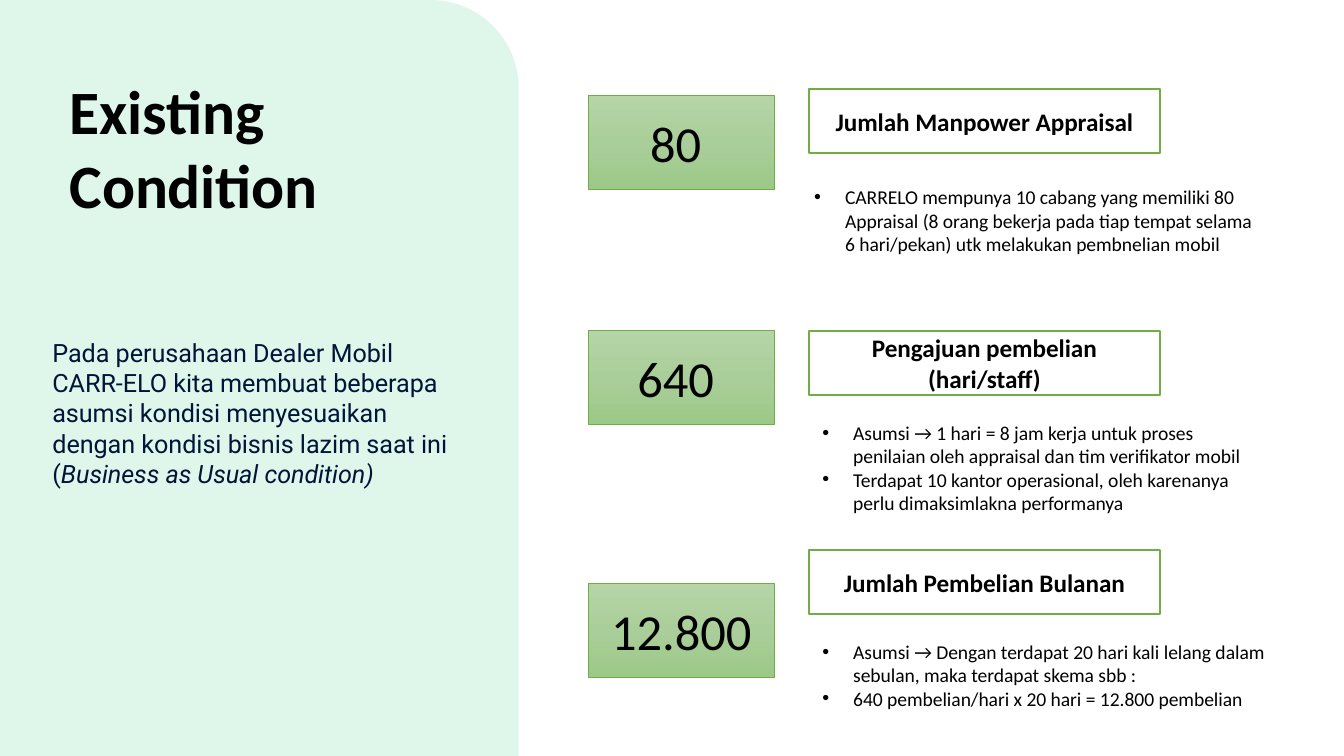
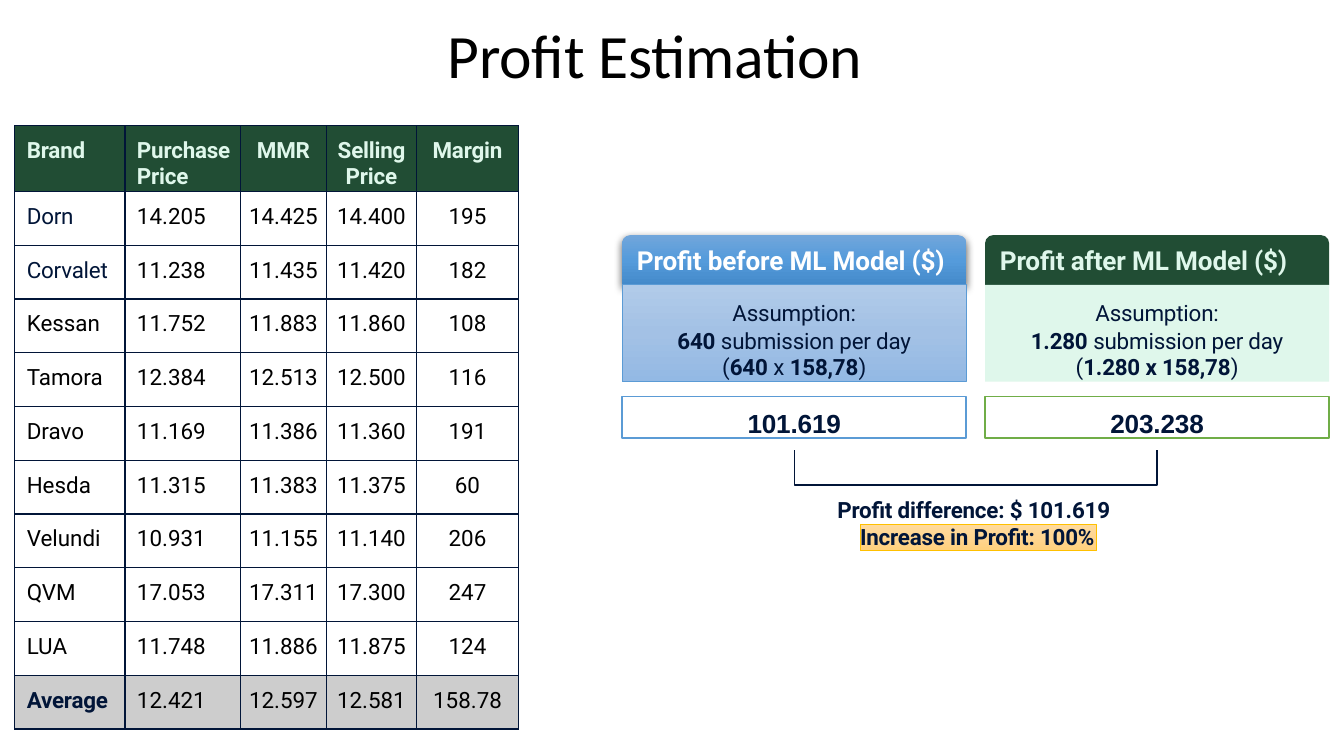
from copy import deepcopy
from dataclasses import dataclass
from typing import NamedTuple, Optional, Sequence, Union

from lxml.etree import SubElement
from pptx import Presentation
from pptx.dml.color import RGBColor
from pptx.enum.shapes import MSO_SHAPE
from pptx.enum.text import MSO_ANCHOR, MSO_AUTO_SIZE, PP_ALIGN
from pptx.oxml.ns import qn
from pptx.util import Emu, Inches, Pt

# Grid: 100 columns across the slide, square cells
WIDTH, HEIGHT = Inches(10), Inches(5.625)
CELL = WIDTH // 100


@dataclass(frozen=True)
class Theme:
    mint: str = "DFF7EB"
    forest: str = "214D34"
    navy: str = "011538"
    black: str = "000000"
    white: str = "FFFFFF"
    grey: str = "CDCDCD"
    green_line: str = "70AD47"
    blue_line: str = "5B9BD5"
    gold_line: str = "FFC000"
    green_fade: tuple = ("B5D5A7", "AACE9A", "9CC987")
    blue_fade: tuple = ("71A6DB", "559BDB", "448ACA")
    sky_fade: tuple = ("B1CBE9", "A3C1E5", "93B9E4")
    gold_fade: tuple = ("FFDB9E", "FFD590", "FFD07C")
    head_font: str = "Calibri"
    body_font: str = "Roboto"
    number_font: str = "Arial"
    title: float = 33
    figure: float = 27
    card: float = 14
    label: float = 13.5
    body: float = 12
    detail: float = 10.5


THEME = Theme()
Fill = Union[str, tuple, None]


class Area(NamedTuple):
    column: float
    row: float
    columns: float
    rows: float


class Span(NamedTuple):
    text: str
    bold: bool = False
    italic: bool = False


class Metric(NamedTuple):
    value: str
    value_row: float
    label: str
    label_row: float
    details: Sequence[str]
    detail_area: Area


class Scenario(NamedTuple):
    column: float
    heading: str
    heading_color: str
    heading_width: float
    heading_fill: Fill
    shaded: bool
    formula: Sequence[Span]
    body_fill: Fill
    body_line: Optional[str]
    profit: str
    profit_line: str


def grid(*units: float) -> list:
    return [Emu(round(unit * CELL)) for unit in units]


# Text
def write(frame, *paragraphs, size: float = THEME.body, font: str = THEME.body_font,
          color: str = THEME.navy, bold: bool = False, align=PP_ALIGN.LEFT,
          anchor=MSO_ANCHOR.TOP, insets: Sequence[float] = (0.1, 0.1, 0, 0),
          bullet: bool = False, tracking: float = 0,
          leading: Optional[float] = None, gap: float = 0) -> None:
    """Insets are left, top, right and bottom in grid cells."""
    frame.word_wrap = True
    frame.auto_size = MSO_AUTO_SIZE.NONE
    frame.vertical_anchor = anchor
    (frame.margin_left, frame.margin_top,
     frame.margin_right, frame.margin_bottom) = grid(*insets)
    for index, content in enumerate(paragraphs):
        para = frame.add_paragraph() if index else frame.paragraphs[0]
        para.alignment = align
        if leading:
            para.line_spacing = Pt(leading)
        para.space_before = Pt(gap if index else 0)
        if bullet:
            properties = para._p.get_or_add_pPr()
            hang = grid(2.3)[0]
            properties.set("marL", str(hang))
            properties.set("indent", str(-hang))
            SubElement(properties, qn("a:buFont")).set("typeface", "Arial")
            SubElement(properties, qn("a:buChar")).set("char", "•")
        for piece in [Span(content)] if isinstance(content, str) else content:
            for number, line in enumerate(piece.text.split("\n")):
                if number:
                    para.add_line_break()
                span = para.add_run()
                span.text = line
                span.font.name, span.font.size = font, Pt(size)
                span.font.bold = bold or piece.bold
                span.font.italic = piece.italic
                span.font.color.rgb = RGBColor.from_string(color)
                if tracking:
                    span._r.get_or_add_rPr().set("spc", str(round(tracking * 100)))


def add_text(slide, area: Area, *paragraphs, **style) -> None:
    write(slide.shapes.add_textbox(*grid(*area)).text_frame, *paragraphs, **style)


def place_title(slide, area: Area, text: str, **style) -> None:
    title = slide.shapes.title
    title.left, title.top, title.width, title.height = grid(*area)
    write(title.text_frame, text, size=THEME.title, font=THEME.head_font,
          color=THEME.black, anchor=MSO_ANCHOR.MIDDLE, tracking=-0.1, **style)


# Shapes
def paint(shape, fill: Fill, line: Optional[str], width: float) -> None:
    shape.shadow.inherit = False
    if fill is None:
        shape.fill.background()
    elif isinstance(fill, str):
        shape.fill.solid()
        shape.fill.fore_color.rgb = RGBColor.from_string(fill)
    else:
        shape.fill.gradient()
        shape.fill.gradient_angle = 270
        stops = shape._element.spPr.find(".//" + qn("a:gsLst"))
        stops.insert(1, deepcopy(stops[0]))
        for index, (stop, color) in enumerate(zip(shape.fill.gradient_stops, fill)):
            stop.position = index / 2
            stop.color.rgb = RGBColor.from_string(color)
    if line:
        shape.line.color.rgb = RGBColor.from_string(line)
        shape.line.width = Pt(width)
    else:
        shape.line.fill.background()


def add_box(slide, area: Area, fill: Fill, line: Optional[str] = None,
            width: float = 0.5, kind=MSO_SHAPE.RECTANGLE, corner: float = 0):
    box = slide.shapes.add_shape(kind, *grid(*area))
    paint(box, fill, line, width)
    if corner:
        box.adjustments[0] = corner
    return box


def add_shadow(shape) -> None:
    effects = shape._element.spPr.find(qn("a:effectLst"))
    shadow = SubElement(effects, qn("a:outerShdw"), blurRad=str(Pt(4.5)),
                        dist=str(Pt(1.5)), dir="5400000", rotWithShape="0")
    color = SubElement(shadow, qn("a:srgbClr"), val=THEME.black)
    SubElement(color, qn("a:alpha"), val="63000")


# Table
def border_cell(cell, color: str, width: float) -> None:
    properties = cell._tc.get_or_add_tcPr()
    for side in ("a:lnL", "a:lnR", "a:lnT", "a:lnB"):
        edge = SubElement(properties, qn(side), w=str(Pt(width)))
        solid = SubElement(edge, qn("a:solidFill"))
        SubElement(solid, qn("a:srgbClr"), val=color)


def add_price_table(slide, rows: Sequence[Sequence[str]]) -> None:
    widths, heights = (8.2, 8.6, 6.4, 6.7, 7.6), [4.9] + [4] * (len(rows) - 1)
    area = Area(1.1, 9.35, sum(widths), sum(heights))
    table = slide.shapes.add_table(len(rows), len(widths), *grid(*area)).table
    table.first_row = table.horz_banding = False
    for column, width in zip(table.columns, grid(*widths)):
        column.width = width
    last = len(rows) - 1
    for r, values in enumerate(rows):
        table.rows[r].height = grid(heights[r])[0]
        for c, value in enumerate(values):
            cell = table.cell(r, c)
            border_cell(cell, THEME.navy, 0.75)
            if r in (0, last):
                cell.fill.solid()
                cell.fill.fore_color.rgb = RGBColor.from_string(
                    THEME.grey if r else THEME.forest)
            else:
                cell.fill.background()
            navy = c == 0 and r in (1, 2, last)
            color = THEME.mint if r == 0 else THEME.navy if navy else THEME.black
            write(cell.text_frame, value, color=color,
                  bold=r == 0 or (r == last and c == 0),
                  align=PP_ALIGN.LEFT if c < 2 else PP_ALIGN.CENTER,
                  tracking=-0.1 if r == 0 or navy else 0)
            cell.margin_left, cell.margin_top = grid(0.9 if c < 2 else 0, 0.9)
            cell.margin_right = cell.margin_bottom = 0


# Slide 1
METRICS = (
    Metric("80 ", 7.1, "Jumlah Manpower Appraisal", 6.6,
           ("CARRELO mempunya 10 cabang yang memiliki 80 Appraisal (8 orang bekerja "
            "pada tiap tempat selama 6 hari/pekan) utk melakukan pembnelian mobil",),
           Area(59.6, 13.3, 35.3, 6.3)),
    Metric("640 ", 24.6, "Pengajuan pembelian (hari/staff)", 24.6,
           ("Asumsi → 1 hari = 8 jam kerja untuk proses penilaian oleh appraisal "
            "dan tim verifikator mobil",
            "Terdapat 10 kantor operasional, oleh karenanya perlu dimaksimlakna "
            "performanya"), Area(60.2, 30.8, 35.3, 8.1)),
    Metric("12.800", 43.4, "Jumlah Pembelian Bulanan", 40.9,
           ("Asumsi → Dengan terdapat 20 hari kali lelang dalam sebulan, maka "
            "terdapat skema sbb :",
            "640 pembelian/hari x 20 hari = 12.800 pembelian"),
           Area(60.2, 47.1, 35.3, 6.3)),
)


def build_condition(slide) -> None:
    panel = add_box(slide, Area(0, 0, 38.6, HEIGHT / CELL), THEME.mint,
                    kind=MSO_SHAPE.ROUND_1_RECTANGLE, corner=0.17)
    slide.shapes._spTree.insert(2, panel._element)  # behind the title
    place_title(slide, Area(5.1, 5.3, 22, 11.2), "Existing Condition", bold=True)
    add_text(slide, Area(3.8, 25, 30.1, 16),
             (Span("Pada perusahaan Dealer Mobil CARR-ELO kita membuat beberapa asumsi "
                   "kondisi menyesuaikan dengan kondisi bisnis lazim saat ini ("),
              Span("Business as Usual condition)", italic=True)), size=THEME.label)
    shared = dict(font=THEME.head_font, color=THEME.black, insets=(1, 0.5, 1, 0.5))
    centred = dict(shared, align=PP_ALIGN.CENTER, anchor=MSO_ANCHOR.MIDDLE)
    for metric in METRICS:
        value = add_box(slide, Area(43.8, metric.value_row, 13.8, 7),
                        THEME.green_fade, THEME.green_line)
        write(value.text_frame, metric.value, size=THEME.figure, **centred)
        label = add_box(slide, Area(60.2, metric.label_row, 26.1, 4.8),
                        THEME.white, THEME.green_line, 1)
        write(label.text_frame, metric.label, size=THEME.label, bold=True, **centred)
        add_text(slide, metric.detail_area, *metric.details, size=THEME.detail,
                 bullet=True, **shared)


# Slide 2
PRICES = [line.split("|") for line in (
    "Brand|Purchase Price|MMR|Selling Price|Margin",
    "Dorn|14.205|14.425|14.400|195",
    "Corvalet|11.238|11.435|11.420|182",
    "Kessan|11.752|11.883|11.860|108",
    "Tamora|12.384|12.513|12.500|116",
    "Dravo|11.169|11.386|11.360|191",
    "Hesda|11.315|11.383|11.375|60",
    "Velundi|10.931|11.155|11.140|206",
    "QVM|17.053|17.311|17.300|247",
    "LUA|11.748|11.886|11.875|124",
    "Average|12.421|12.597|12.581|158.78",
)]
SCENARIOS = (
    Scenario(46.3, "Proﬁt before ML Model ($)", THEME.white, 23.4, THEME.blue_fade, True,
             (Span("640", True), Span(" submission per day\n("), Span("640 ", True),
              Span("x "), Span("158,78", True), Span(")")),
             THEME.sky_fade, THEME.blue_line, "101.619", THEME.blue_line),
    Scenario(73.3, "Proﬁt after ML Model ($)", THEME.mint, 21.9, THEME.forest, False,
             (Span("1.280", True), Span(" submission per day\n("),
              Span("1.280 x 158,78", True), Span(")")),
             THEME.mint, None, "203.238", THEME.green_line),
)
CARD_WIDTH = 25.6


def add_scenario(slide, card: Scenario) -> None:
    header = add_box(slide, Area(card.column, 17.5, CARD_WIDTH, 3.7), card.heading_fill,
                     kind=MSO_SHAPE.ROUND_2_SAME_RECTANGLE, corner=0.16)
    if card.shaded:
        add_shadow(header)
    add_text(slide, Area(card.column + 1, 18.1, card.heading_width, 2.5), card.heading,
             size=THEME.card, color=card.heading_color, bold=True, tracking=-0.1)
    body = add_box(slide, Area(card.column, 21.2, CARD_WIDTH, 7.2),
                   card.body_fill, card.body_line)
    write(body.text_frame, "Assumption:", card.formula, align=PP_ALIGN.CENTER,
          insets=(0, 1.1, 0, 0), leading=14.2, gap=0.6, tracking=-0.1)
    profit = add_box(slide, Area(card.column, 29.5, CARD_WIDTH, 3.1),
                     THEME.white, card.profit_line, 1)
    write(profit.text_frame, card.profit, size=THEME.card, font=THEME.number_font,
          bold=True, align=PP_ALIGN.CENTER, insets=(0, 0.8, 0, 0), tracking=-0.1)


def build_profit(slide) -> None:
    place_title(slide, Area(23.1, 1.1, 51.2, 5.7), "Proﬁt Estimation",
                align=PP_ALIGN.CENTER)
    add_price_table(slide, PRICES)
    for card in SCENARIOS:
        add_scenario(slide, card)

    # Bracket joining the centres of both cards
    left, right = grid(*(card.column + CARD_WIDTH / 2 for card in SCENARIOS))
    top, bottom = grid(33.5, 36.1)
    outline = slide.shapes.build_freeform(left, top)
    outline.add_line_segments([(left, bottom), (right, bottom), (right, top)], close=False)
    paint(outline.convert_to_shape(), None, THEME.navy, 0.75)

    add_text(slide, Area(62.2, 36.8, 20.9, 2.2), "Proﬁt difference: $ 101.619",
             bold=True, tracking=-0.1)
    increase = add_box(slide, Area(64, 39, 17.6, 2), THEME.gold_fade, THEME.gold_line)
    write(increase.text_frame, "Increase in Proﬁt: 100%", bold=True,
          insets=(0, 0, 0, 0), leading=13.9, tracking=-0.1)


def main() -> None:
    deck = Presentation()
    deck.slide_width, deck.slide_height = WIDTH, HEIGHT
    title_only = deck.slide_layouts[5]
    for build in (build_condition, build_profit):
        build(deck.slides.add_slide(title_only))
    deck.save("out.pptx")


if __name__ == "__main__":
    main()
